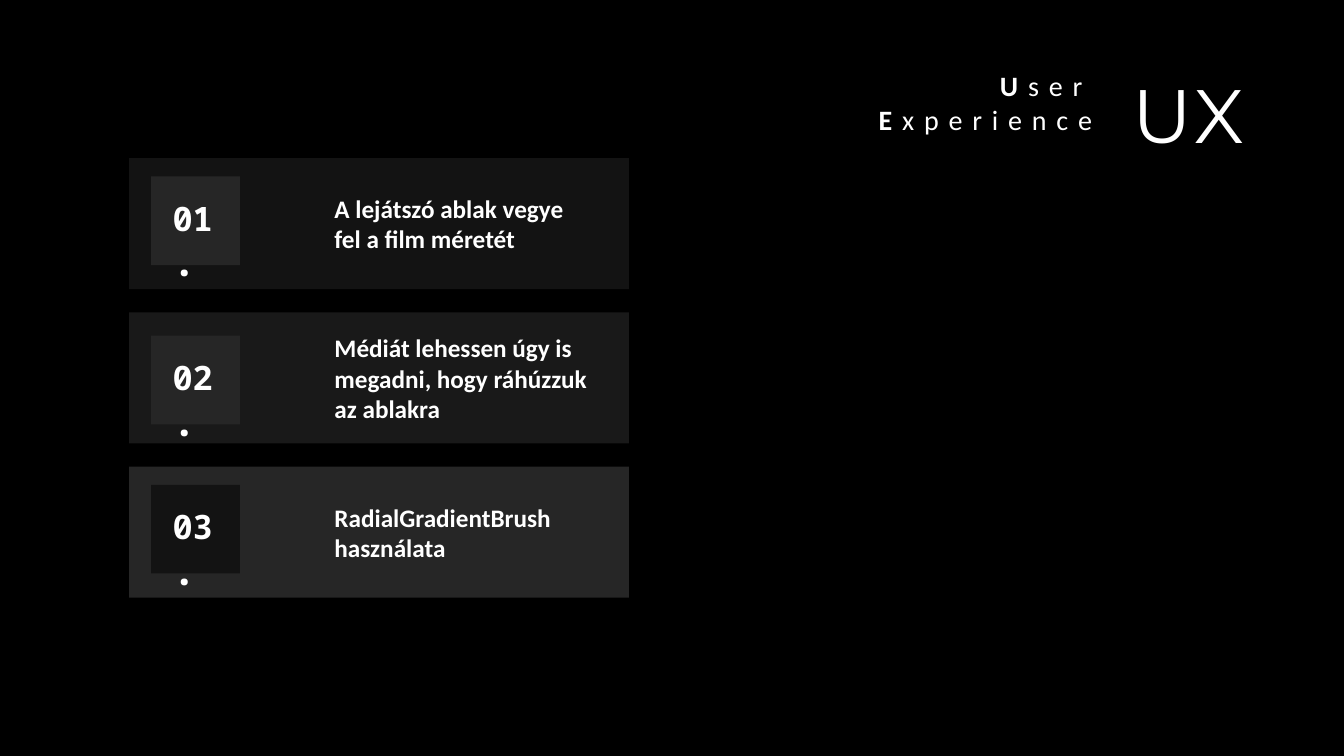
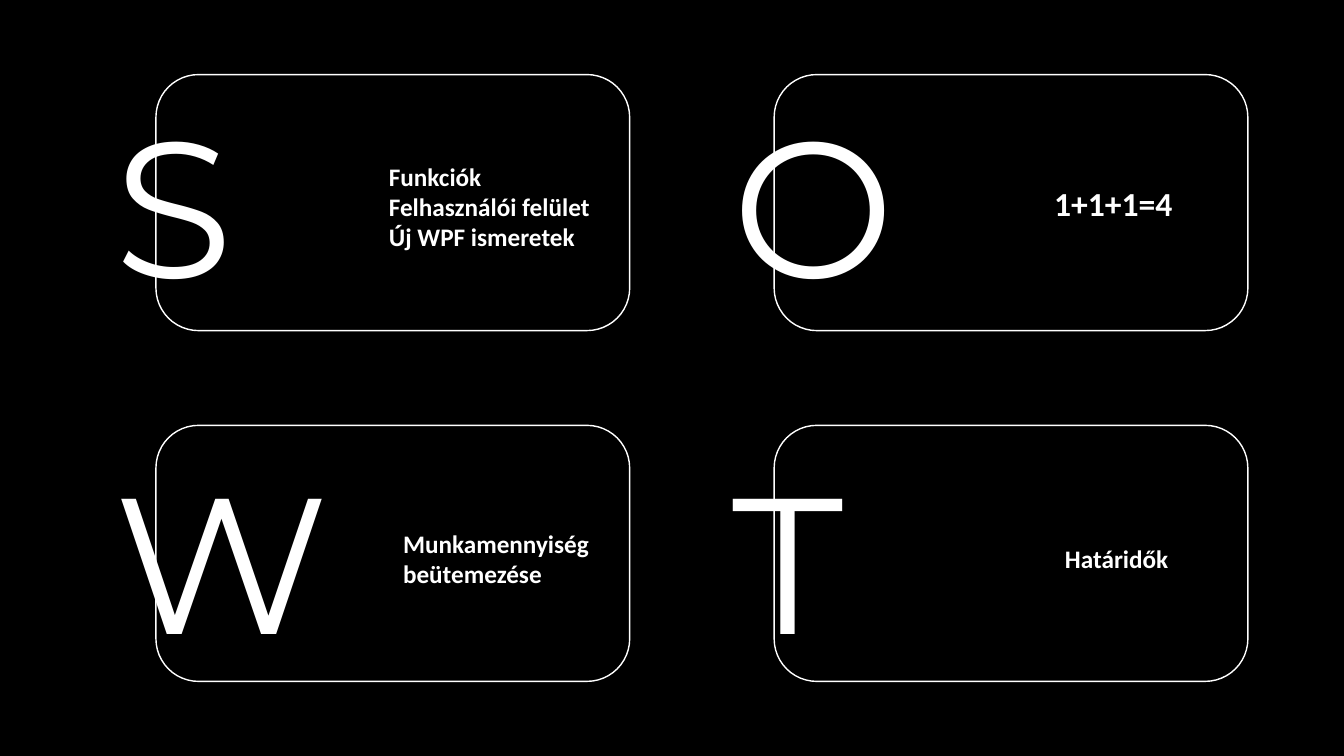
from pptx import Presentation
from pptx.dml.color import RGBColor
from pptx.enum.shapes import MSO_SHAPE
from pptx.enum.text import MSO_ANCHOR, PP_ALIGN
from pptx.util import Inches, Pt

BLACK = RGBColor(0x00, 0x00, 0x00)
WHITE = RGBColor(0xFF, 0xFF, 0xFF)
COAL = RGBColor(0x13, 0x13, 0x13)
SLATE = RGBColor(0x19, 0x19, 0x19)
ASH = RGBColor(0x26, 0x26, 0x26)
BODY, DISPLAY, MONO = "Calibri", "Montserrat", "Noto Sans Mono"
RECT, ROUNDED = MSO_SHAPE.RECTANGLE, MSO_SHAPE.ROUNDED_RECTANGLE
TOP, MIDDLE = MSO_ANCHOR.TOP, MSO_ANCHOR.MIDDLE
LEFT, RIGHT = PP_ALIGN.LEFT, PP_ALIGN.RIGHT

deck = Presentation()
deck.slide_width, deck.slide_height = Inches(13.33), Inches(7.5)
COL, ROW = deck.slide_width / 100, deck.slide_height / 100
blank = deck.slide_layouts[6]
deck.slide_master.background.fill.solid()
deck.slide_master.background.fill.fore_color.rgb = BLACK


def add_box(slide, preset, x, y, w, h, fill=None):
    box = slide.shapes.add_shape(
        preset, int(x * COL), int(y * ROW), int(w * COL), int(h * ROW))
    box.shadow.inherit = False
    if fill is None:
        box.fill.background()
        box.line.color.rgb = WHITE
        box.line.width = Pt(1)
    else:
        box.fill.solid()
        box.fill.fore_color.rgb = fill
        box.line.fill.background()


def add_text(slide, x, y, w, h, paragraphs, font=BODY, anchor=TOP,
             align=LEFT, tracking=0):
    frame = slide.shapes.add_textbox(
        int(x * COL), int(y * ROW), int(w * COL), int(h * ROW)).text_frame
    frame.word_wrap = True
    frame.vertical_anchor = anchor
    for index, pieces in enumerate(paragraphs):
        paragraph = frame.add_paragraph() if index else frame.paragraphs[0]
        paragraph.alignment = align
        for words, size, bold in pieces:
            run = paragraph.add_run()
            run.text = words
            run.font.name = font
            run.font.size = Pt(size)
            run.font.bold = bold
            run.font.color.rgb = WHITE
            if tracking:
                run.font._element.set("spc", str(tracking * 100))


ux = deck.slides.add_slide(blank)
add_text(ux, 83.5, 5.33, 11.8, 19.33, [[("UX", 54, False)]],
         font=DISPLAY, anchor=MIDDLE, tracking=2)
add_text(ux, 60.3, 8.4, 21.7, 10.27,
         [[("U", 20, True), ("ser ", 20, False),
           ("E", 20, True), ("xperience", 20, False)]],
         align=RIGHT, tracking=7)

goals = [
    ("01", "A lejátszó ablak vegye fel a film méretét", COAL, ASH, 2.4),
    ("02", "Médiát lehessen úgy is megadni, hogy ráhúzzuk az ablakra",
     SLATE, ASH, 3.07),
    ("03", "RadialGradientBrush használata", ASH, COAL, 2.4),
]
for index, (number, goal, panel_fill, chip_fill, chip_inset) in enumerate(goals):
    panel_top = 20.93 + 20.4 * index
    chip_top = panel_top + chip_inset
    add_box(ux, RECT, 9.6, panel_top, 37.2, 17.33, panel_fill)
    add_text(ux, 24.15, panel_top, 20.9, 17.33, [[(goal, 18, True)]],
             anchor=MIDDLE)
    add_box(ux, RECT, 11.25, chip_top, 6.6, 11.73, chip_fill)
    add_text(ux, 12.1, chip_top + 2.13, 5.9, 7.6,
             [[(number, 24, True), (".", 28, True)]], font=MONO)

swot = deck.slides.add_slide(blank)
quadrants = [
    ("S", 0, 0, ["Funkciók", "Felhasználói felület", "Új WPF ismeretek"],
     18, (28.2, 20.67, 25.6, 17.47)),
    ("W", 0, 1, ["Munkamennyiség beütemezése"],
     18, (29.25, 69.2, 19.2, 9.47)),
    ("O", 1, 0, ["1+1+1=4"], 24, (77.7, 23.47, 10.95, 6.67)),
    ("T", 1, 1, ["Határidők"], 18, (78.5, 71.2, 10.5, 5.33)),
]
for letter, column, row, notes, size, place in quadrants:
    add_text(swot, 7.8 + 46 * column, 10.67 + 47.06 * row, 12.5, 32.27,
             [[(letter, 138, False)]], font=DISPLAY)
    add_box(swot, ROUNDED, 11.6 + 46 * column, 9.87 + 46.4 * row, 35.25, 33.87)
    add_text(swot, *place, [[(note, size, True)] for note in notes])

deck.save("out.pptx")
